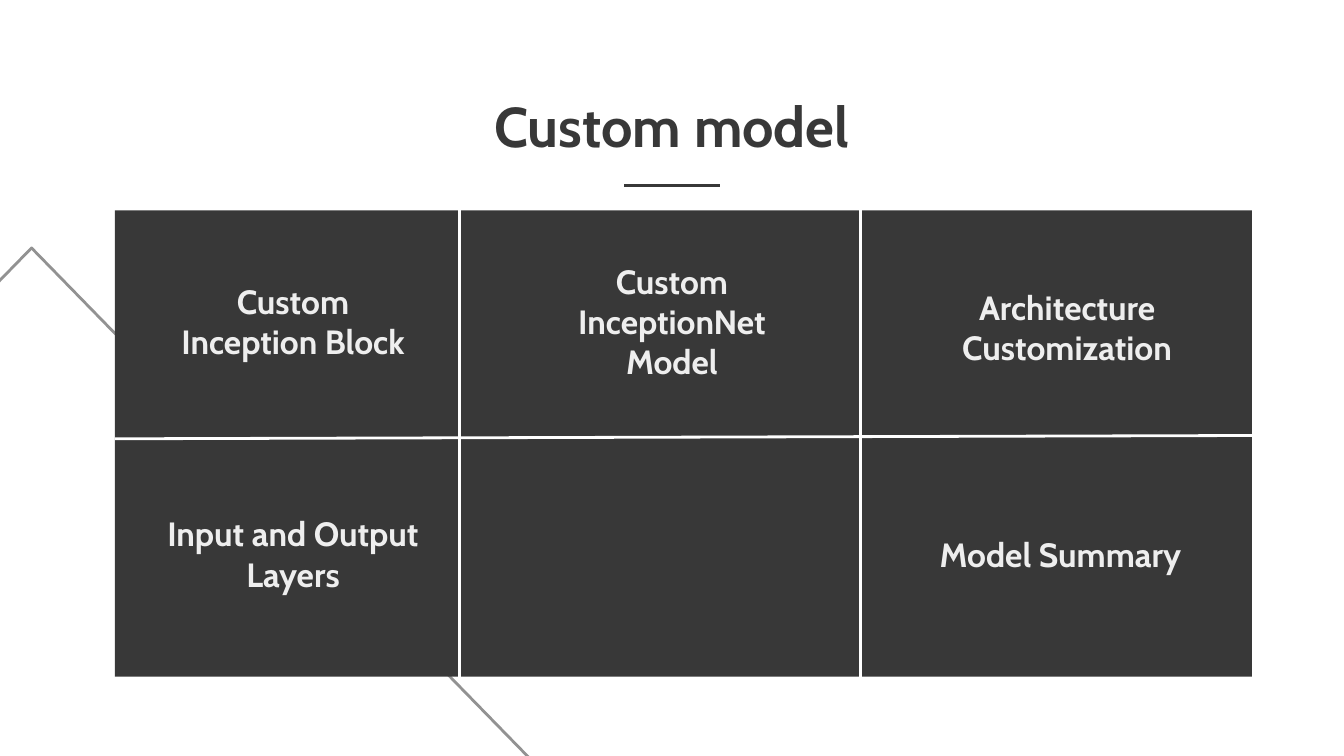
from lxml import etree
from pptx import Presentation
from pptx.dml.color import RGBColor
from pptx.enum.shapes import MSO_CONNECTOR, MSO_SHAPE
from pptx.enum.text import MSO_ANCHOR, PP_ALIGN
from pptx.oxml.ns import qn
from pptx.util import Pt

PX = 4572  # 200 px to the inch
STRAIGHT = MSO_CONNECTOR.STRAIGHT
TRIANGLE, RECTANGLE = MSO_SHAPE.ISOSCELES_TRIANGLE, MSO_SHAPE.RECTANGLE
TOP, MIDDLE = MSO_ANCHOR.TOP, MSO_ANCHOR.MIDDLE
CENTER = PP_ALIGN.CENTER
DARK, LIGHT, WHITE, GRAY = "383838", "EEEEEE", "FFFFFF", "929292"


def emu(*lengths):
    return [length * PX for length in lengths]


def color(hex_string):
    return RGBColor.from_string(hex_string)


deck = Presentation()
deck.slide_width, deck.slide_height = emu(2000, 1125)
page = deck.slides.add_slide(deck.slide_layouts[6])

# Background triangle and dark panel
triangle = page.shapes.add_shape(TRIANGLE, *emu(-763, 369, 1620, 830))
triangle.shadow.inherit = False
triangle.fill.background()
triangle.line.color.rgb = color(GRAY)
triangle.line.width = Pt(1.5)

panel = page.shapes.add_shape(RECTANGLE, *emu(171, 313, 1692, 694))
panel.shadow.inherit = False
panel.fill.solid()
panel.fill.fore_color.rgb = color(DARK)
panel.line.fill.background()

# Panel dividers and title underline
rules = [
    (1281, 300, 1281, 1008, WHITE),
    (684, 298, 684, 1008, WHITE),
    (171, 653, 1908, 648, WHITE),
    (929, 276, 1071, 276, DARK),
]
for *ends, hex_string in rules:
    rule = page.shapes.add_connector(STRAIGHT, *emu(*ends))
    rule.line.color.rgb = color(hex_string)
    rule.line.width = Pt(1.5)
    etree.SubElement(rule._element.spPr, qn("a:effectLst"))

# Title and cell labels
labels = [
    ("Custom model", 432, 116, 1136, 116, 30, DARK, TOP),
    ("Custom Inception Block", 228, 434, 416, 88, 18, LIGHT, MIDDLE),
    ("Custom InceptionNet Model", 794, 434, 412, 88, 18, LIGHT, MIDDLE),
    ("Architecture Customization", 1356, 443, 464, 88, 18, LIGHT, MIDDLE),
    ("Input and Output Layers", 228, 780, 416, 88, 18, LIGHT, MIDDLE),
    ("Model Summary", 1370, 781, 416, 88, 18, LIGHT, MIDDLE),
]
for text, left, top, width, height, size, hex_string, anchor in labels:
    box = page.shapes.add_textbox(*emu(left, top, width, height))
    frame = box.text_frame
    frame.word_wrap = True
    frame.vertical_anchor = anchor
    frame.margin_left, frame.margin_top, frame.margin_right, frame.margin_bottom = emu(20, 20, 20, 20)
    para = frame.paragraphs[0]
    para.text = text
    para.alignment = CENTER
    para.font.name = "Cabin"
    para.font.size = Pt(size)
    para.font.bold = True
    para.font.color.rgb = color(hex_string)

deck.save("out.pptx")
